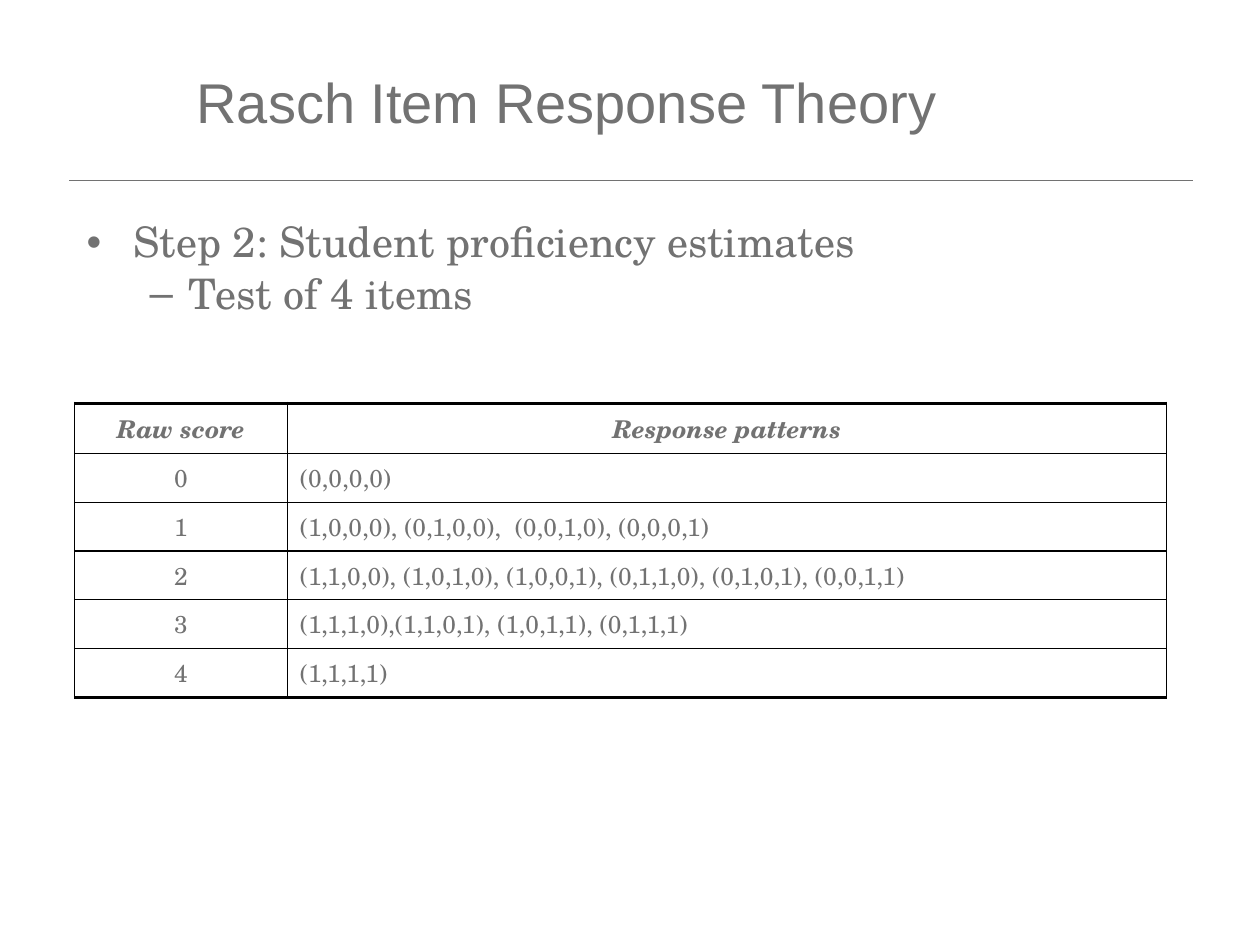
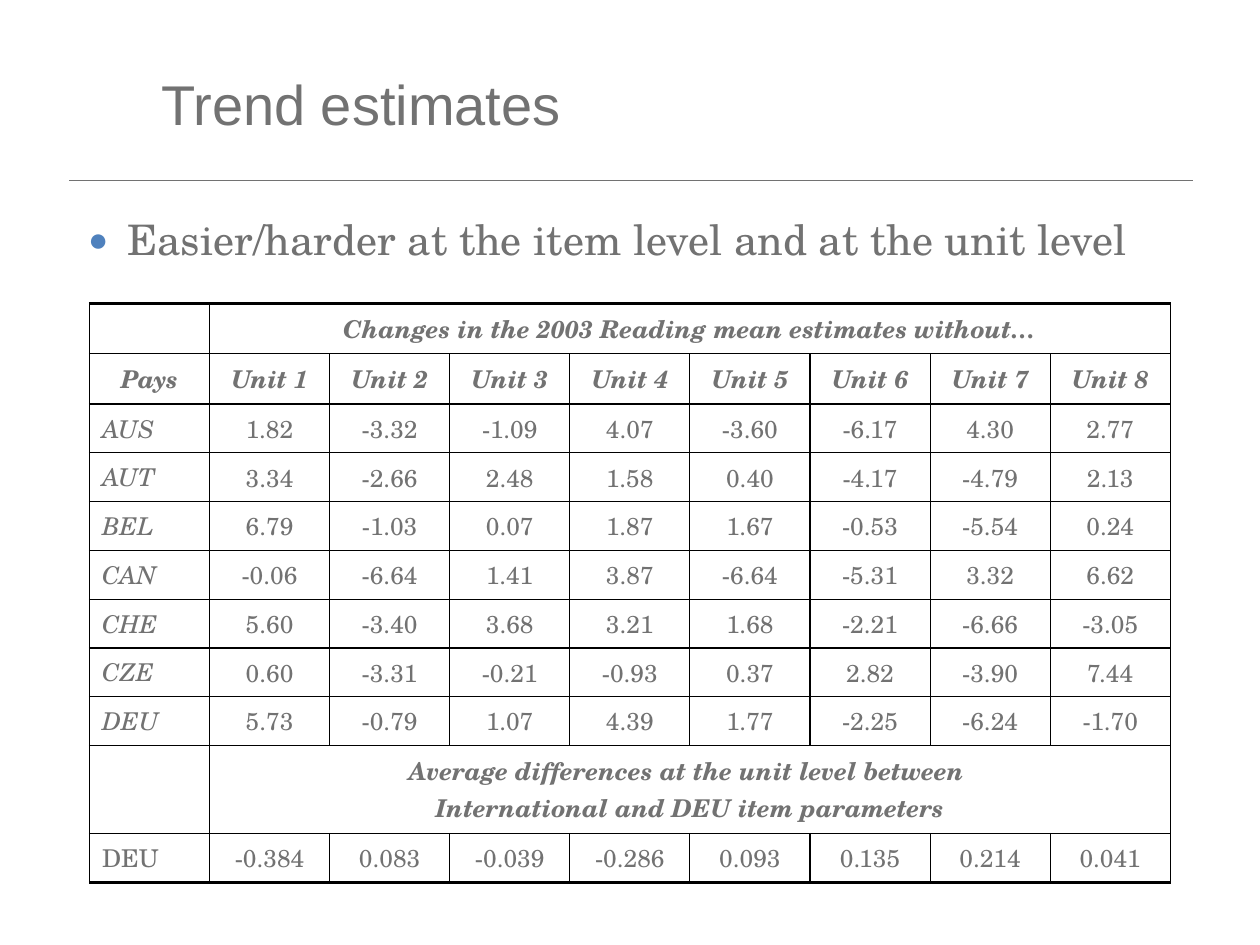
from dataclasses import dataclass
from lxml import etree
from pptx import Presentation
from pptx.dml.color import RGBColor
from pptx.enum import shapes, text
from pptx.oxml import ns
from pptx.util import Inches, Pt


@dataclass(frozen=True)
class Theme:
    ink: str = "727272"
    border: str = "000000"
    accent: str = "4F81BD"
    title_font: str = "Arial"
    body_font: str = "TeX Gyre Schola"
    title_size: int = 32
    body_size: int = 24
    table_size: int = 14
    thin: float = 0.75
    medium: float = 1
    thick: float = 2
    leading: float = 0.93


THEME = Theme()
RULE = (0.55, 1.43, 8.92)

PROFICIENCY = {
    "title": "Rasch Item Response Theory",
    "title_at": (1.46, 0.36, 7.09, 0.89),
    "body_at": (0.59, 1.7, 8.17, 1.26),
    "bullets": [
        dict(words="Step 2: Student proficiency estimates", mark="•", color=THEME.ink,
             scale=100, left=0.37, hang=0.37, before=0),
        dict(words="Test of 4 items", mark="–", color=THEME.ink,
             scale=100, left=0.81, hang=0.31, before=2.5),
    ],
    "table_at": (0.59, 3.2),
    "columns": [1.69, 6.98],
    "heights": [0.38] * 6,
    "headings": {0},
    "rule_below": 0,
    "divider": THEME.medium,
    "italic_names": set(),
    "left_column": 1,
    "rows": [
        ["Raw score", "Response patterns"],
        ["0", "(0,0,0,0)"],
        ["1", "(1,0,0,0), (0,1,0,0),  (0,0,1,0), (0,0,0,1)"],
        ["2", "(1,1,0,0), (1,0,1,0), (1,0,0,1), (0,1,1,0), (0,1,0,1), (0,0,1,1)"],
        ["3", "(1,1,1,0),(1,1,0,1), (1,0,1,1), (0,1,1,1)"],
        ["4", "(1,1,1,1)"],
    ],
}

TREND = {
    "title": "Trend estimates",
    "title_at": (1.18, 0.26, 8.11, 1.12),
    "body_at": (0.51, 1.68, 8.98, 0.73),
    "bullets": [
        dict(words="Easier/harder at the item level and at the unit level", mark="●",
             color=THEME.accent, scale=80, left=0.4, hang=0.31, before=0),
    ],
    "table_at": (0.71, 2.41),
    "columns": [8.58 / 9] * 9,
    "heights": [0.39] + [0.29] * 10,
    "headings": {0, 1, 9},
    "rule_below": 1,
    "divider": THEME.thin,
    "italic_names": set(range(2, 9)),
    "left_column": 0,
    "rows": [
        ["", "Changes in the 2003 Reading mean estimates without…"],
        ["Pays"] + [f"Unit {number}" for number in range(1, 9)],
        ["AUS", "1.82", "-3.32", "-1.09", "4.07", "-3.60", "-6.17", "4.30", "2.77"],
        ["AUT", "3.34", "-2.66", "2.48", "1.58", "0.40", "-4.17", "-4.79", "2.13"],
        ["BEL", "6.79", "-1.03", "0.07", "1.87", "1.67", "-0.53", "-5.54", "0.24"],
        ["CAN", "-0.06", "-6.64", "1.41", "3.87", "-6.64", "-5.31", "3.32", "6.62"],
        ["CHE", "5.60", "-3.40", "3.68", "3.21", "1.68", "-2.21", "-6.66", "-3.05"],
        ["CZE", "0.60", "-3.31", "-0.21", "-0.93", "0.37", "2.82", "-3.90", "7.44"],
        ["DEU", "5.73", "-0.79", "1.07", "4.39", "1.77", "-2.25", "-6.24", "-1.70"],
        ["", "Average differences at the unit level between \n"
             "International and DEU item parameters"],
        ["DEU", "-0.384", "0.083", "-0.039", "-0.286", "0.093", "0.135", "0.214", "0.041"],
    ],
}


def style(para, font, size, bold=False, italic=False):
    para.font.name = font
    para.font.size = Pt(size)
    para.font.bold = bold
    para.font.italic = italic
    para.font.color.rgb = RGBColor.from_string(THEME.ink)


def add_node(parent, tag, **attributes):
    return etree.SubElement(parent, ns.qn(tag), attributes)


def set_title(slide, content):
    box = slide.shapes.title
    box.left, box.top, box.width, box.height = map(Inches, content["title_at"])
    frame = box.text_frame
    frame.text = content["title"]
    frame.auto_size = text.MSO_AUTO_SIZE.NONE
    frame.vertical_anchor = text.MSO_ANCHOR.MIDDLE
    para = frame.paragraphs[0]
    para.alignment = text.PP_ALIGN.LEFT
    style(para, THEME.title_font, THEME.title_size)


def add_rule(slide):
    left, top, width = map(Inches, RULE)
    line = slide.shapes.add_connector(
        shapes.MSO_CONNECTOR.STRAIGHT, left, top, left + width, top)
    line.line.color.rgb = RGBColor.from_string(THEME.ink)
    line.line.width = Pt(0.5)
    add_node(line._element.spPr, "a:effectLst")


def add_bullets(slide, content):
    frame = slide.shapes.add_textbox(*map(Inches, content["body_at"])).text_frame
    frame.word_wrap = True
    for level, bullet in enumerate(content["bullets"]):
        para = frame.add_paragraph() if level else frame.paragraphs[0]
        para.text = bullet["words"]
        para.level = level
        para.line_spacing = THEME.leading
        para.space_before = Pt(bullet["before"])
        properties = para._p.get_or_add_pPr()
        properties.set("marL", str(Inches(bullet["left"])))
        properties.set("indent", str(-Inches(bullet["hang"])))
        add_node(add_node(properties, "a:buClr"), "a:srgbClr", val=bullet["color"])
        add_node(properties, "a:buSzPct", val=str(bullet["scale"] * 1000))
        add_node(properties, "a:buFont", typeface="Arial")
        add_node(properties, "a:buChar", char=bullet["mark"])
        style(para, THEME.body_font, THEME.body_size)


def set_borders(cell, widths):
    properties = cell._tc.get_or_add_tcPr()
    for place, (side, width) in enumerate(zip("LRTB", widths)):
        edge = etree.Element(ns.qn(f"a:ln{side}"), w=str(Pt(width)))
        add_node(add_node(edge, "a:solidFill"), "a:srgbClr", val=THEME.border)
        properties.insert(place, edge)


def row_edge(content, edge):
    if edge in (0, len(content["rows"])):
        return THEME.thick
    return THEME.medium if edge == content["rule_below"] + 1 else THEME.thin


def column_edge(content, edge):
    return content["divider"] if edge == 1 else THEME.thin


def add_data_table(slide, content):
    rows, columns, heights = content["rows"], content["columns"], content["heights"]
    left, top = content["table_at"]
    table = slide.shapes.add_table(
        len(rows), len(columns), Inches(left), Inches(top),
        Inches(sum(columns)), Inches(sum(heights))).table
    table.first_row = table.horz_banding = False
    for column, width in zip(table.columns, columns):
        column.width = Inches(width)
    for r, values in enumerate(rows):
        table.rows[r].height = Inches(heights[r])
        heading = r in content["headings"]
        for c in range(len(columns)):
            cell = table.cell(r, c)
            cell.text = values[c] if c < len(values) else ""
            cell.fill.background()
            set_borders(cell, (column_edge(content, c), column_edge(content, c + 1),
                               row_edge(content, r), row_edge(content, r + 1)))
            italic = heading or (c == 0 and r in content["italic_names"])
            flush = c == content["left_column"] and not heading
            for para in cell.text_frame.paragraphs:
                para.alignment = text.PP_ALIGN.LEFT if flush else text.PP_ALIGN.CENTER
                style(para, THEME.body_font, THEME.table_size, heading, italic)
        if len(values) < len(columns):
            table.cell(r, len(values) - 1).merge(table.cell(r, len(columns) - 1))


def main():
    deck = Presentation()
    deck.slide_width, deck.slide_height = Inches(10), Inches(7.5)
    for content in (PROFICIENCY, TREND):
        slide = deck.slides.add_slide(deck.slide_layouts[5])
        add_rule(slide)
        set_title(slide, content)
        add_data_table(slide, content)
        add_bullets(slide, content)
    deck.save("out.pptx")


if __name__ == "__main__":
    main()
